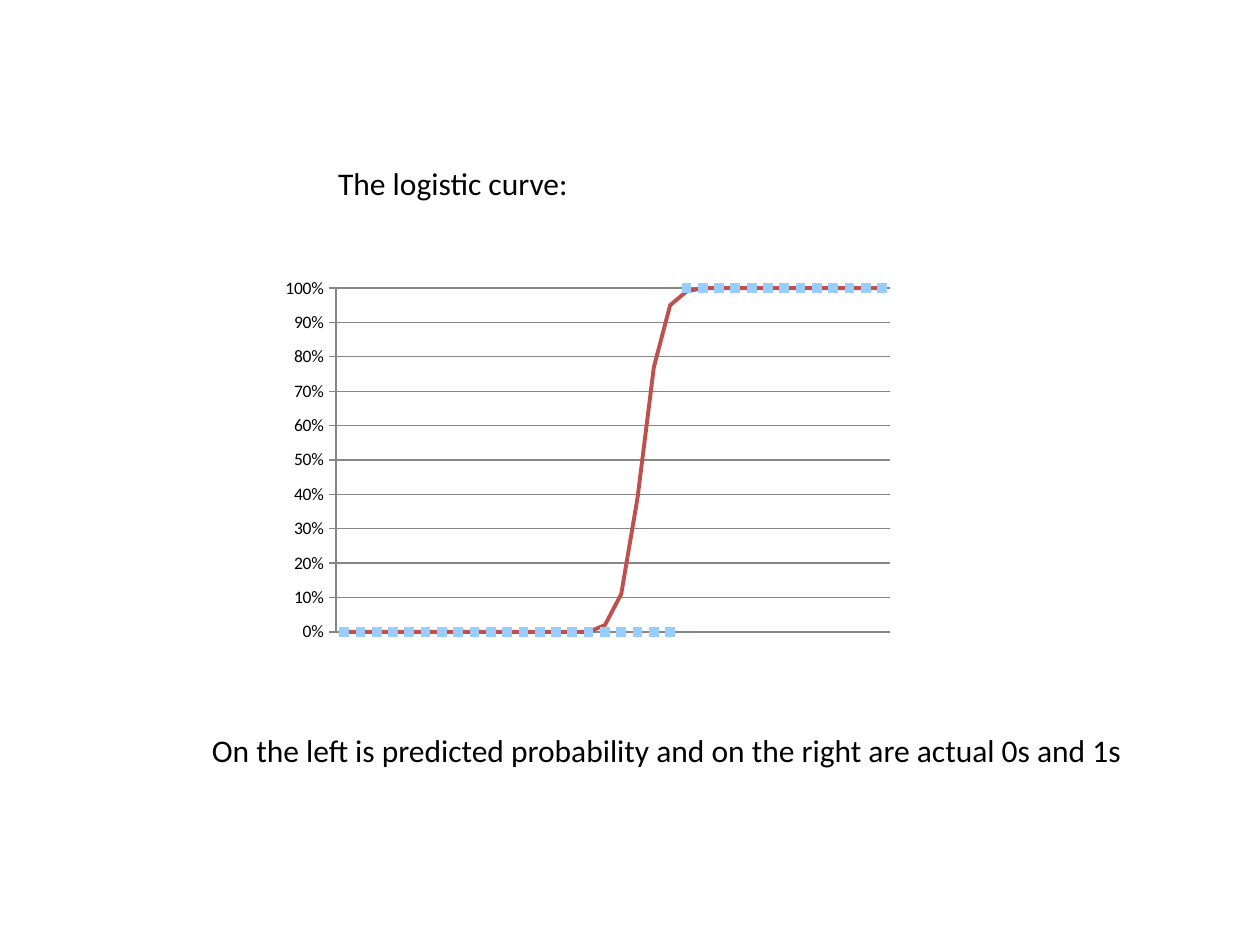
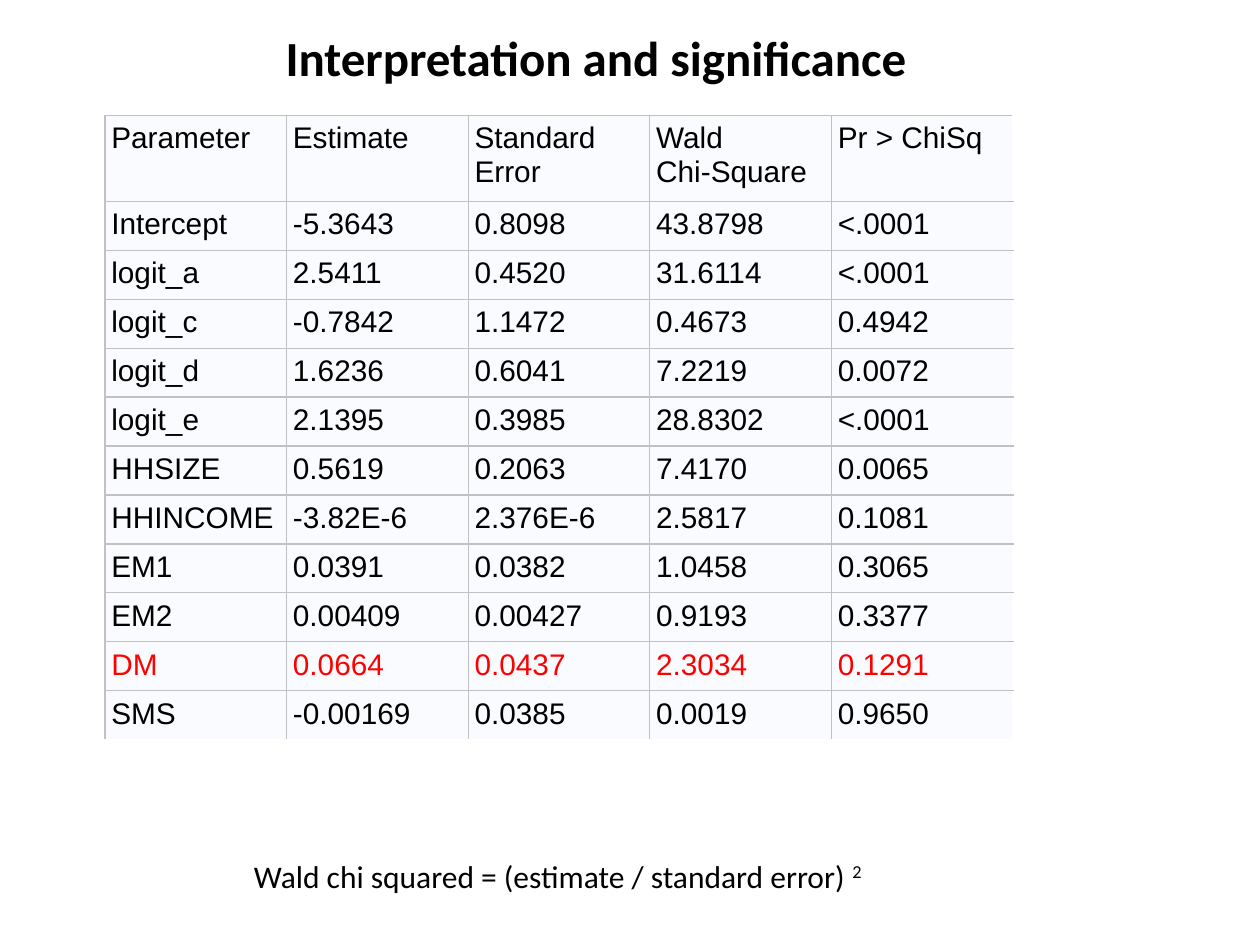
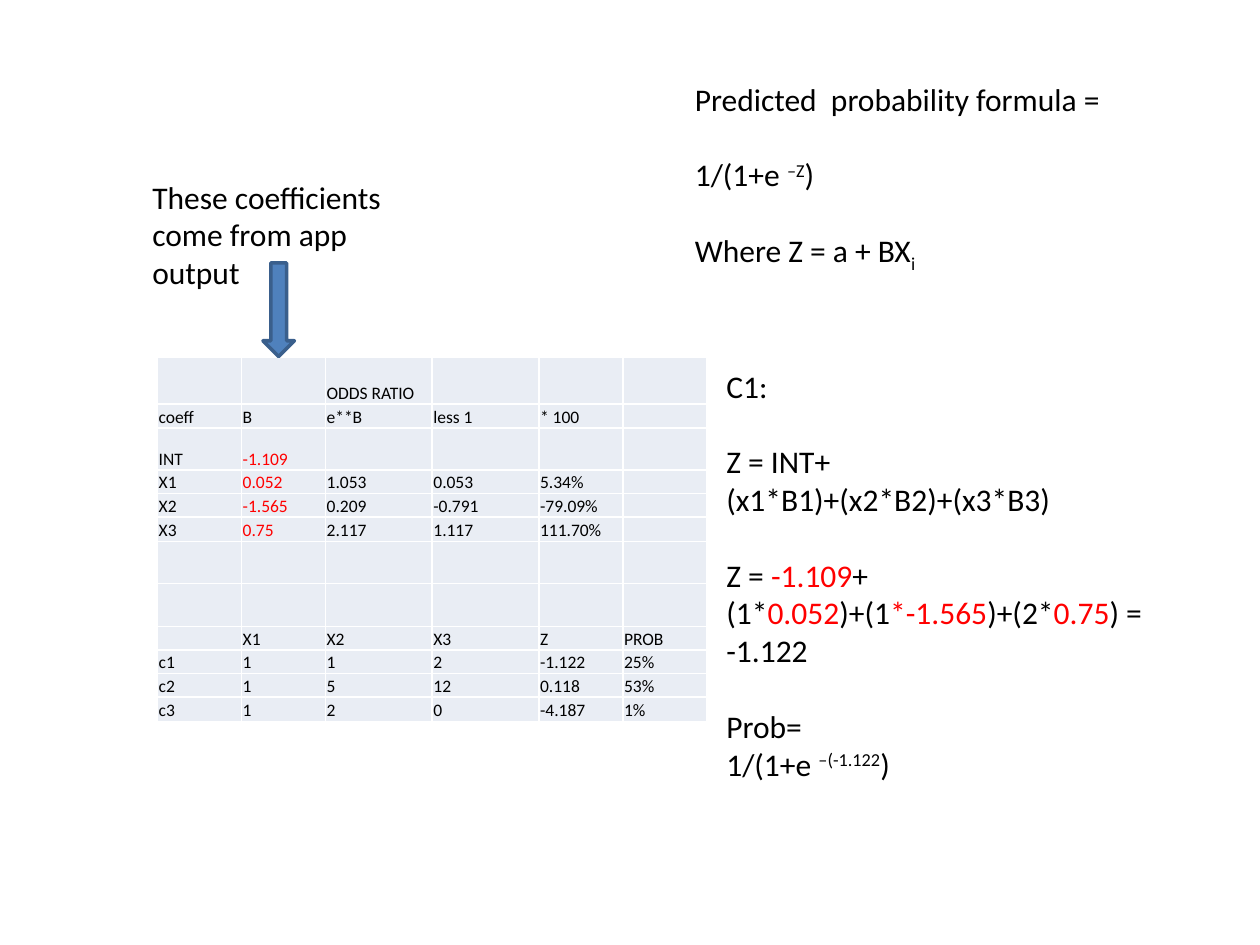
import copy
from lxml import etree
from pptx import Presentation
from pptx import util as u
from pptx.chart.data import CategoryChartData
from pptx.dml.color import RGBColor
from pptx.enum import chart as charts, shapes, text
from pptx.oxml import ns

BLACK, RED, GRID, WHITE = "000000", "FF0000", "868686", "FFFFFF"
BODY = {"name": "Calibri", "size": 18, "color": BLACK}
TITLE = {**BODY, "size": 28, "bold": True}
BASELINES = {"superscript": "30000", "subscript": "-25000"}
LINE_GAP = 21.6  # one line of body text, in points


def color(value):
    return RGBColor.from_string(value)


def points(box):
    return [u.Pt(length) for length in box]


# ---- Text ----
def format_font(font, style):
    for name, value in style.items():
        if name == "color":
            font.color.rgb = color(value)
        else:
            setattr(font, name, u.Pt(value) if name == "size" else value)


def add_runs(paragraph, runs, style):
    """Runs are plain text or a list of (text, kind) pairs."""
    pairs = [(runs, "")] if isinstance(runs, str) else runs
    for words, kind in pairs:
        for number, line in enumerate(words.split("\n")):
            if number:
                paragraph.add_line_break()
            run = paragraph.add_run()
            run.text = line
            format_font(run.font, {**style, "color": RED} if kind == "red" else style)
            if kind in BASELINES:
                run._r.get_or_add_rPr().set("baseline", BASELINES[kind])


def fill_text(shape, box, paragraphs, style=BODY):
    """Paragraphs are (space before, runs) pairs."""
    shape.left, shape.top, shape.width, shape.height = points(box)
    frame = shape.text_frame
    settings = {"word_wrap": False, "auto_size": text.MSO_AUTO_SIZE.SHAPE_TO_FIT_TEXT,
                "vertical_anchor": text.MSO_ANCHOR.TOP}
    for name, value in settings.items():
        setattr(frame, name, value)
    for number, (gap, runs) in enumerate(paragraphs):
        paragraph = frame.add_paragraph() if number else frame.paragraphs[0]
        paragraph.alignment = text.PP_ALIGN.LEFT
        paragraph.space_before = u.Pt(gap)
        add_runs(paragraph, runs, style)


def add_text(slide, box, paragraphs):
    fill_text(slide.shapes.add_textbox(*points(box)), box, paragraphs)


# ---- Tables ----
def add_border(cell, edges, line_color, width):
    properties = cell._tc.get_or_add_tcPr()
    for place, edge in enumerate(edges):
        line = etree.Element(ns.qn("a:ln" + edge), w=str(u.Pt(width)))
        solid = etree.SubElement(line, ns.qn("a:solidFill"))
        etree.SubElement(solid, ns.qn("a:srgbClr"), val=line_color)
        properties.insert(place, line)


def add_table(slide, origin, widths, heights, rows, look, is_red, open_edges=False):
    box = (*origin, sum(widths), sum(heights))
    table = slide.shapes.add_table(len(rows), len(widths), *points(box)).table
    table.first_row = table.horz_banding = False
    for column, width in zip(table.columns, widths):
        column.width = u.Pt(width)
    for row, height in zip(table.rows, heights):
        row.height = u.Pt(height)
    margins = dict(zip(("left", "right", "top", "bottom"), look["margins"]))
    for r, values in enumerate(rows):
        for c, value in enumerate(values):
            cell = table.cell(r, c)
            for side, margin in margins.items():
                setattr(cell, "margin_" + side, u.Pt(margin))
            cell.vertical_anchor = look["anchor"]
            cell.fill.solid()
            cell.fill.fore_color.rgb = color(look["fill"])
            edges = [edge for edge in "LRTB" if not open_edges or not (
                (edge == "R" and c == len(widths) - 1) or (edge == "B" and r == len(rows) - 1))]
            add_border(cell, edges, look["border"], look["border_width"])
            paragraph = cell.text_frame.paragraphs[0]
            if value:
                add_runs(paragraph, [(value, "red" if is_red(r, c) else "")], look["font"])
            else:
                etree.SubElement(paragraph._p, ns.qn("a:endParaRPr"),
                                 sz=str(look["font"]["size"] * 100))


# ---- Chart ----
def set_plot_box(plot_area, fractions):
    for old in plot_area.findall(ns.qn("c:layout")):
        plot_area.remove(old)
    layout = etree.Element(ns.qn("c:layout"))
    manual = etree.SubElement(layout, ns.qn("c:manualLayout"))
    settings = {"layoutTarget": "inner", "xMode": "edge", "yMode": "edge", **fractions}
    for name, value in settings.items():
        etree.SubElement(manual, ns.qn("c:" + name), val=str(value))
    plot_area.insert(0, layout)


def move_to_second_axis(plot_area):
    """Put the last series on a hidden pair of axes."""
    first = plot_area.find(ns.qn("c:lineChart"))
    second = copy.deepcopy(first)
    first.remove(first.findall(ns.qn("c:ser"))[-1])
    second.remove(second.findall(ns.qn("c:ser"))[0])
    first.addnext(second)
    axes = [plot_area.find(ns.qn(tag)) for tag in ("c:catAx", "c:valAx")]
    twins = [copy.deepcopy(axis) for axis in axes]
    new_ids = {axis.find(ns.qn("c:axId")).get("val"): str(50010 + number)
               for number, axis in enumerate(axes)}
    for number, twin in enumerate(twins):
        plot_area.insert(list(plot_area).index(axes[-1]) + 1 + number, twin)
        twin.find(ns.qn("c:delete")).set("val", "1")
    gridlines = twins[1].find(ns.qn("c:majorGridlines"))
    twins[1].remove(gridlines)
    twins[1].find(ns.qn("c:crosses")).set("val", "max")
    for part in (second, *twins):
        for tag in ("c:axId", "c:crossAx"):
            for reference in part.findall(ns.qn(tag)):
                reference.set("val", new_ids[reference.get("val")])


def add_logistic_chart(slide, box):
    curve = [0] * 16 + [0.02, 0.11, 0.39, 0.77, 0.95, 0.99] + [1] * 12
    outcomes = [0] * 21 + [1] * 13
    data = CategoryChartData()
    data.categories = [str(number) for number in range(1, len(curve) + 1)]
    data.add_series("Series 1", curve)
    data.add_series("Series 2", outcomes)
    chart = slide.shapes.add_chart(charts.XL_CHART_TYPE.LINE_MARKERS, *points(box), data).chart
    chart.has_legend = chart.has_title = False
    format_font(chart.font, {**BODY, "size": 10})
    plot = chart.plots[0]
    plot.vary_by_categories = False

    # Axes
    chart.category_axis.visible = False
    axis = chart.value_axis
    settings = {"minimum_scale": 0, "maximum_scale": 1, "major_unit": 0.1,
                "has_major_gridlines": True, "major_tick_mark": charts.XL_TICK_MARK.OUTSIDE}
    for name, value in settings.items():
        setattr(axis, name, value)
    axis.tick_labels.number_format = "0%"
    axis.tick_labels.number_format_is_linked = False
    for line in (axis.format.line, axis.major_gridlines.format.line):
        line.color.rgb = color(GRID)
        line.width = u.Pt(0.75)

    # Predicted curve and actual outcomes
    predicted, actual = plot.series
    predicted.smooth = actual.smooth = False
    predicted.marker.style = charts.XL_MARKER_STYLE.NONE
    predicted.format.line.color.rgb = color("C0504D")
    predicted.format.line.width = u.Pt(2.25)
    actual.format.line.fill.background()
    actual.marker.style = charts.XL_MARKER_STYLE.SQUARE
    actual.marker.size = 5
    actual.marker.format.fill.solid()
    actual.marker.format.fill.fore_color.rgb = color("99CCFF")
    actual.marker.format.line.fill.background()

    plot_area = chart._chartSpace.find(".//" + ns.qn("c:plotArea"))
    set_plot_box(plot_area, {"x": 0.1, "y": 0.04, "w": 0.88, "h": 0.91})
    move_to_second_axis(plot_area)


def add_down_arrow(slide, box):
    arrow = slide.shapes.add_shape(shapes.MSO_SHAPE.RIGHT_ARROW, *points(box))
    arrow.rotation = 90
    arrow.shadow.inherit = False
    arrow.fill.solid()
    arrow.fill.fore_color.rgb = color("4F81BD")
    arrow.line.color.rgb = color("3A5F8C")
    arrow.line.width = u.Pt(2)


# ---- Slides ----
def build_curve_slide(slide):
    fill_text(slide.shapes.title, (186, 90, 148, 29), [(0, "The logistic curve:")])
    add_logistic_chart(slide, (156, 156, 360, 216))
    add_text(slide, (114, 414, 541.5, 29),
             [(0, "On the left is predicted probability and on the right are actual 0s and 1s")])


def build_significance_slide(slide):
    fill_text(slide.shapes.title, (156, 12, 373.5, 41),
              [(0, "Interpretation and significance")], TITLE)
    rows = [
        ("Parameter", "Estimate", "Standard\nError", "Wald\nChi-Square", "Pr\u00a0>\u00a0ChiSq"),
        ("Intercept", "-5.3643", "0.8098", "43.8798", "<.0001"),
        ("logit_a", "2.5411", "0.4520", "31.6114", "<.0001"),
        ("logit_c", "-0.7842", "1.1472", "0.4673", "0.4942"),
        ("logit_d", "1.6236", "0.6041", "7.2219", "0.0072"),
        ("logit_e", "2.1395", "0.3985", "28.8302", "<.0001"),
        ("HHSIZE", "0.5619", "0.2063", "7.4170", "0.0065"),
        ("HHINCOME", "-3.82E-6", "2.376E-6", "2.5817", "0.1081"),
        ("EM1", "0.0391", "0.0382", "1.0458", "0.3065"),
        ("EM2", "0.00409", "0.00427", "0.9193", "0.3377"),
        ("DM", "0.0664", "0.0437", "2.3034", "0.1291"),
        ("SMS", "-0.00169", "0.0385", "0.0019", "0.9650"),
    ]
    look = {"margins": [3.6] * 4, "anchor": text.MSO_ANCHOR.TOP, "fill": "FAFBFE",
            "border": "C1C1C1", "border_width": 0.75,
            "font": {"name": "Arial", "size": 17, "color": BLACK}}
    add_table(slide, (60, 66), [103.8] * 5, [49] + [28] * 11, rows, look,
              lambda r, c: rows[r][0] == "DM", open_edges=True)
    add_text(slide, (138, 486, 367, 29),
             [(0, [("Wald chi squared = (estimate / standard error) ", ""), ("2", "superscript")])])


def build_probability_slide(slide):
    # General formula
    add_text(slide, (390, 42, 262, 138), [
        (0, "Predicted  probability formula = "),
        (LINE_GAP, [("1/(1+e ", ""), ("–Z", "superscript"), (")", "")]),
        (LINE_GAP, [("Where Z = a + BX", ""), ("i", "subscript")]),
    ])

    # Coefficients and cases
    blank = ("",) * 6
    rows = [
        ("", "", "ODDS RATIO", "", "", ""),
        ("coeff", "B", "e**B", "less 1", "* 100", ""),
        ("INT", "-1.109", "", "", "", ""),
        ("X1", "0.052", "1.053", "0.053", "5.34%", ""),
        ("X2", "-1.565", "0.209", "-0.791", "-79.09%", ""),
        ("X3", "0.75", "2.117", "1.117", "111.70%", ""),
        blank,
        blank,
        ("", "X1", "X2", "X3", "Z", "PROB"),
        ("c1", "1", "1", "2", "-1.122", "25%"),
        ("c2", "1", "5", "12", "0.118", "53%"),
        ("c3", "1", "2", "0", "-4.187", "1%"),
    ]
    look = {"margins": [0.72, 0.72, 0.72, 0], "anchor": text.MSO_ANCHOR.BOTTOM,
            "fill": "E9EDF4", "border": WHITE, "border_width": 1,
            "font": {**BODY, "size": 10}}
    heights = [27, 13.5, 24, 13.5, 13.5, 14, 24, 24.5, 13.5, 13.5, 13.5, 14]
    add_table(slide, (90, 204), [48, 48, 61, 61, 48, 48], heights, rows, look,
              lambda r, c: c == 1 and 2 <= r <= 5)

    # Pointer to the coefficients
    add_down_arrow(slide, (132.5, 168, 53.5, 18))
    add_text(slide, (80, 98, 177, 51),
             [(0, "These coefficients "), (0, "come from app output")])

    # Worked example
    add_text(slide, (408, 206, 255, 291), [
        (0, "C1:"),
        (LINE_GAP, "Z = INT+"),
        (0, "(x1*B1)+(x2*B2)+(x3*B3)"),
        (LINE_GAP, [("Z = ", ""), ("-1.109", "red"), ("+", "")]),
        (0, [("(1*", ""), ("0.052", "red"), (")+(1", ""), ("*-1.565", "red"),
             (")+(2*", ""), ("0.75", "red"), (") =", "")]),
        (0, "-1.122"),
        (LINE_GAP, "Prob="),
        (0, [("1/(1+e ", ""), ("–(-1.122", "superscript"), (")", "")]),
    ])


presentation = Presentation()
presentation.slide_width, presentation.slide_height = points((720, 540))
TITLE_ONLY, BLANK = presentation.slide_layouts[5], presentation.slide_layouts[6]
for layout, build in ((TITLE_ONLY, build_curve_slide), (TITLE_ONLY, build_significance_slide),
                      (BLANK, build_probability_slide)):
    build(presentation.slides.add_slide(layout))
presentation.save("out.pptx")
